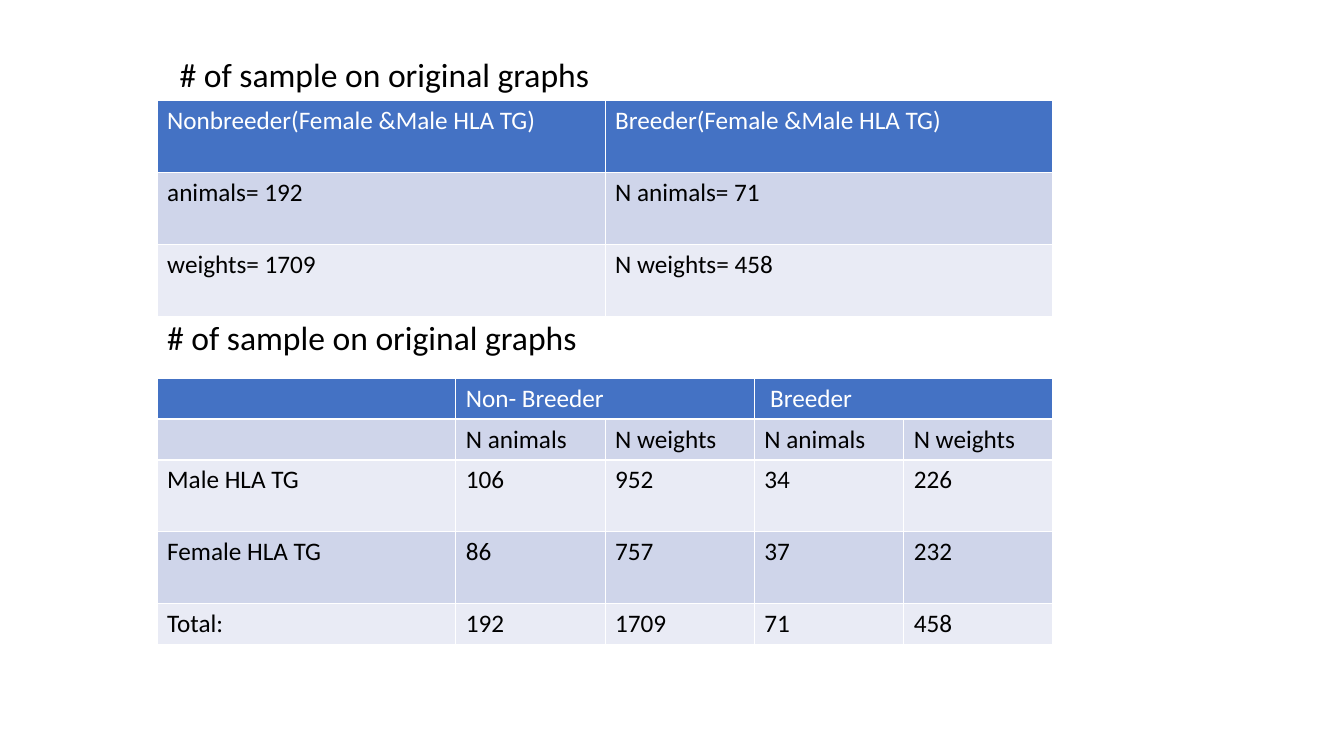
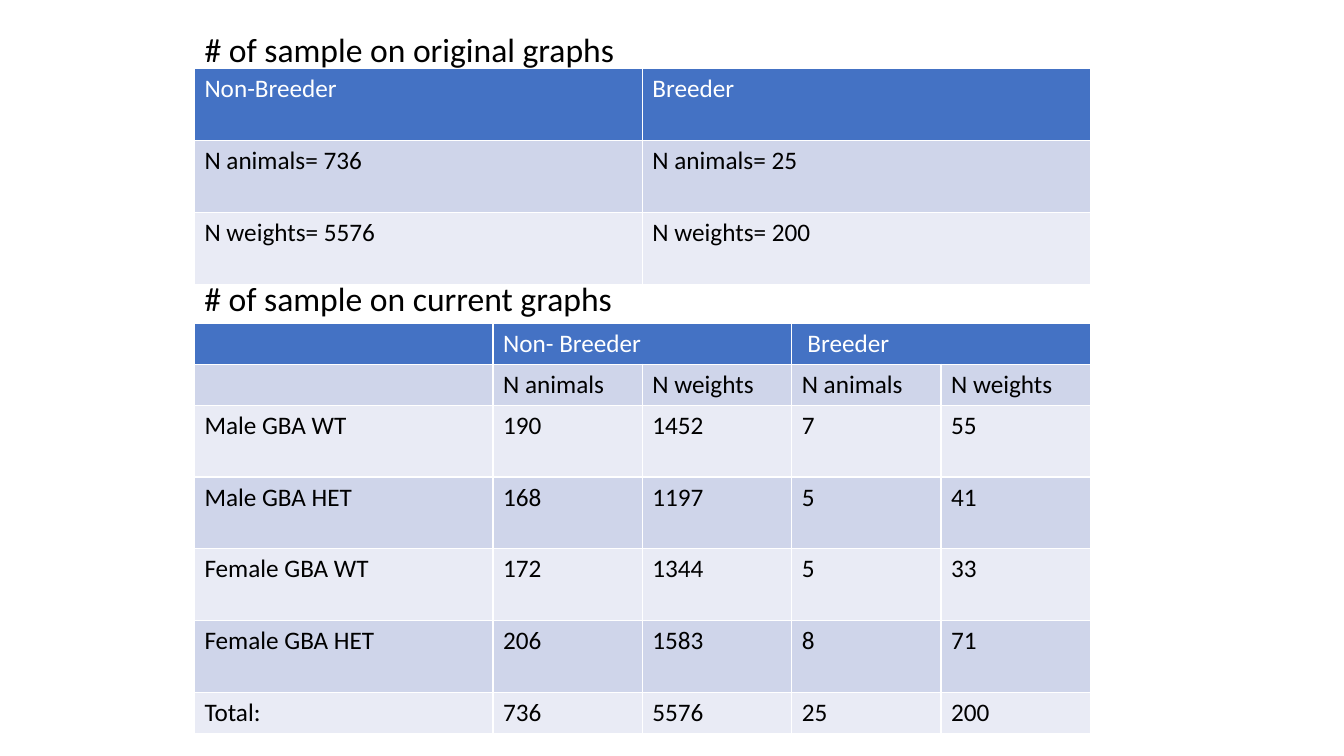
import pptx
import pptx.util
import pptx.dml.color
import pptx.enum.text

Cm = pptx.util.Cm
Pt = pptx.util.Pt

# Shared look
FONT = "Calibri"
INK, WHITE = "000000", "FFFFFF"
HEAD, DARK, PALE = "4472C4", "CFD5EA", "E9EBF5"
WIDE = 22.58            # table width
LOW, TALL = 1.03, 1.81  # row heights
TITLE = {"size": Pt(24), "name": FONT, "bold": False}
CELL = {"size": Pt(18), "name": FONT, "bold": False}
FRAME = {
    "word_wrap": True,
    "auto_size": pptx.enum.text.MSO_AUTO_SIZE.NONE,
    "vertical_anchor": pptx.enum.text.MSO_ANCHOR.TOP,
}
GROUPS = ["", "Non- Breeder", "", " Breeder", ""]
UNITS = ["", "N animals", "N weights", "N animals", "N weights"]

# Slide content
PAGES = [
    {
        "left": 3.96,
        "title": ("# of sample on original graphs", 4.27, 1.24),
        "label": ("# of sample on original graphs", 3.96, 7.87),
        "tops": (2.54, 9.53),
        "short": [
            ["Nonbreeder(Female &Male HLA TG)", "Breeder(Female &Male HLA TG)"],
            ["animals= 192", "N animals= 71"],
            ["weights= 1709", "N weights= 458"],
        ],
        "counts": [
            ["Male HLA TG", 106, 952, 34, 226],
            ["Female HLA TG", 86, 757, 37, 232],
            ["Total:", 192, 1709, 71, 458],
        ],
    },
    {
        "left": 4.9,
        "title": ("# of sample on original graphs", 4.9, 0.61),
        "label": ("# of sample on current graphs", 4.9, 6.88),
        "tops": (1.73, 8.15),
        "short": [
            ["Non-Breeder", "Breeder"],
            ["N animals= 736", "N animals= 25"],
            ["N weights= 5576", "N weights= 200"],
        ],
        "counts": [
            ["Male GBA WT", 190, 1452, 7, 55],
            ["Male GBA HET", 168, 1197, 5, 41],
            ["Female GBA WT", 172, 1344, 5, 33],
            ["Female GBA HET", 206, 1583, 8, 71],
            ["Total:", 736, 5576, 25, 200],
        ],
    },
]


def paint(fmt, tone):
    """Set a hex colour on a font colour or a fill's fore colour."""
    fmt.rgb = pptx.dml.color.RGBColor.from_string(tone)


def apply(obj, vals):
    for key, val in vals.items():
        setattr(obj, key, val)


def write(frame, text, style, tone):
    frame.text = text
    para = frame.paragraphs[0]
    para.alignment = pptx.enum.text.PP_ALIGN.LEFT
    apply(para.font, style)
    paint(para.font.color, tone)


def head(shape, text, left, top):
    """Place a heading in a title placeholder or a text box."""
    box = {"left": left, "top": top, "width": 11.56, "height": 1.27}
    apply(shape, {key: Cm(val) for key, val in box.items()})
    apply(shape.text_frame, FRAME)
    write(shape.text_frame, text, TITLE, INK)


def grid(slide, left, top, rows, parts, highs):
    """Add a banded table; parts are the column shares of the width."""
    table = slide.shapes.add_table(
        len(rows), len(parts), Cm(left), Cm(top), Cm(WIDE), Cm(sum(highs))
    ).table
    for col, part in zip(table.columns, parts):
        col.width = Cm(WIDE * part / sum(parts))
    for i, (row, high) in enumerate(zip(rows, highs)):
        table.rows[i].height = Cm(high)
        band = HEAD if i == 0 else DARK if i % 2 else PALE
        for j, text in enumerate(row):
            cell = table.cell(i, j)
            cell.fill.solid()
            paint(cell.fill.fore_color, band)
            write(cell.text_frame, str(text), CELL, INK if i else WHITE)
    return table


def build(deck, page):
    slide = deck.slides.add_slide(deck.slide_layouts[5])
    left, (first, second) = page["left"], page["tops"]

    # Headings
    head(slide.shapes.title, *page["title"])
    head(slide.shapes.add_textbox(0, 0, 0, 0), *page["label"])

    # Summary table
    grid(slide, left, first, page["short"], [1, 1], [TALL] * 3)

    # Count table: group names span two columns each
    rows = [GROUPS, UNITS] + page["counts"]
    highs = [LOW, LOW] + [TALL] * (len(rows) - 3) + [LOW]
    table = grid(slide, left, second, rows, [2, 1, 1, 1, 1], highs)
    for j in (1, 3):
        table.cell(0, j).merge(table.cell(0, j + 1))


def main():
    deck = pptx.Presentation()
    apply(deck, {"slide_width": Cm(33.87), "slide_height": Cm(19.05)})
    for page in PAGES:
        build(deck, page)
    deck.save("out.pptx")


if __name__ == "__main__":
    main()
